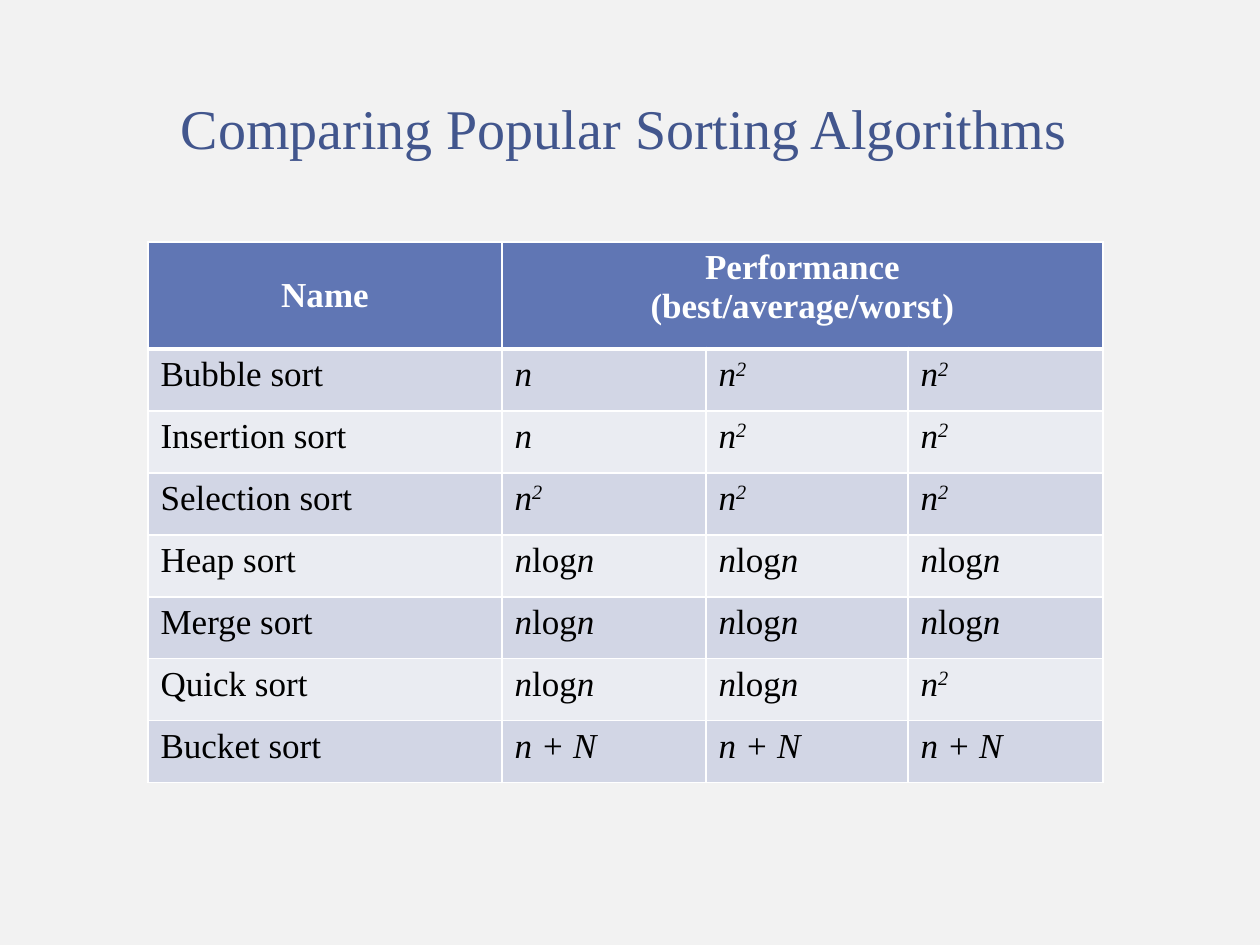
from lxml.etree import SubElement
from pptx import Presentation
from pptx.dml.color import RGBColor
from pptx.enum.text import MSO_ANCHOR, PP_ALIGN
from pptx.oxml.ns import qn
from pptx.util import Emu, Pt

COLORS = {
    "page": "F2F2F2", "title": "42568D", "header": "6076B4", "white": "FFFFFF",
    "black": "000000", "odd": "D2D6E5", "even": "EAECF2",
}
LINEAR = [("n", True, 0)]
SQUARE = [("n", True, 0), ("2", True, 30000)]
NLOGN = [("n", True, 0), ("log", False, 0), ("n", True, 0)]
BUCKET = [("n + N", True, 0)]
SORTS = [
    ("Bubble sort", LINEAR, SQUARE, SQUARE),
    ("Insertion sort", LINEAR, SQUARE, SQUARE),
    ("Selection sort", SQUARE, SQUARE, SQUARE),
    ("Heap sort", NLOGN, NLOGN, NLOGN),
    ("Merge sort", NLOGN, NLOGN, NLOGN),
    ("Quick sort", NLOGN, NLOGN, SQUARE),
    ("Bucket sort", BUCKET, BUCKET, BUCKET),
]


def px(value):
    return Emu(round(value * 914400 / 126))


def rgb(name):
    return RGBColor.from_string(COLORS[name])


class SlideBuilder:
    font = "Times New Roman"

    def __init__(self, deck):
        self.page = deck.slides.add_slide(deck.slide_layouts[5])
        self.page.background.fill.solid()
        self.page.background.fill.fore_color.rgb = rgb("page")

    def add_spans(self, paragraph, spans, size, color, bold=False, align=PP_ALIGN.LEFT):
        paragraph.alignment = align
        for text, italic, raised in spans:
            span = paragraph.add_run()
            span.text = text
            values = {"name": self.font, "size": Pt(size), "bold": bold, "italic": italic}
            for key, value in values.items():
                setattr(span.font, key, value)
            span.font.color.rgb = rgb(color)
            if raised:
                span.font._element.set("baseline", str(raised))

    def title(self, text, left, top, width, height):
        box = self.page.shapes.title
        values = {"left": left, "top": top, "width": width, "height": height}
        for key, value in values.items():
            setattr(box, key, px(value))
        box.text_frame.vertical_anchor = MSO_ANCHOR.TOP
        self.add_spans(box.text_frame.paragraphs[0], [(text, False, 0)], 32, "title",
                       align=PP_ALIGN.CENTER)

    def table(self, left, top, columns, rows):
        frame = self.page.shapes.add_table(len(rows), len(columns), px(left), px(top),
                                           px(sum(columns)), px(sum(rows)))
        for column, width in zip(frame.table.columns, columns):
            column.width = px(width)
        for row, height in zip(frame.table.rows, rows):
            row.height = px(height)
        return frame.table

    def cell(self, cell, lines, fill, bottom=1, **style):
        properties = cell._tc.get_or_add_tcPr()
        for side in ("lnL", "lnR", "lnT", "lnB"):
            weight = bottom if side == "lnB" else 1
            line = SubElement(properties, qn("a:" + side), w=str(Pt(weight)))
            paint = SubElement(line, qn("a:solidFill"))
            SubElement(paint, qn("a:srgbClr"), val=COLORS["white"])
        cell.fill.solid()
        cell.fill.fore_color.rgb = rgb(fill)
        frame = cell.text_frame
        for index, spans in enumerate(lines):
            paragraph = frame.add_paragraph() if index else frame.paragraphs[0]
            self.add_spans(paragraph, spans, 20, **style)


deck = Presentation()
deck.slide_width, deck.slide_height = px(1260), px(945)
slide = SlideBuilder(deck)
slide.title("Comparing Popular Sorting Algorithms", 104, 87, 1040, 81)

table = slide.table(148, 242, [354, 204, 202, 195], [107] + [62] * len(SORTS))
table.cell(0, 1).merge(table.cell(0, 3))
headings = [["Name"], ["Performance", "(best/average/worst)"], [], []]
for column, heading in enumerate(headings):
    slide.cell(table.cell(0, column), [[(text, False, 0)] for text in heading], "header",
               bottom=3, color="white", bold=True, align=PP_ALIGN.CENTER)
table.cell(0, 0).vertical_anchor = MSO_ANCHOR.MIDDLE

for row, (name, *costs) in enumerate(SORTS, start=1):
    fill = "odd" if row % 2 else "even"
    for column, spans in enumerate([[(name, False, 0)], *costs]):
        slide.cell(table.cell(row, column), [spans], fill, color="black")

deck.save("out.pptx")
